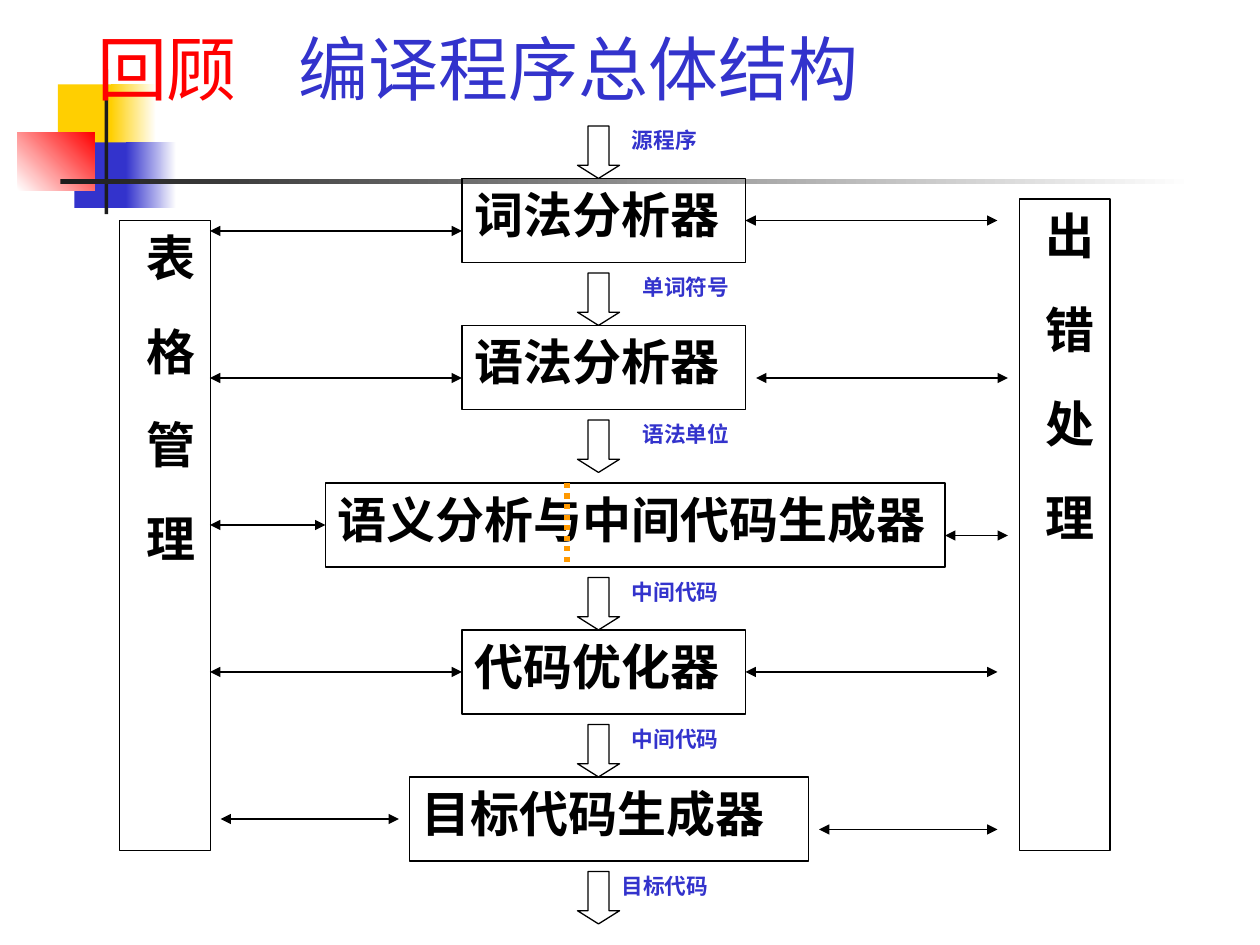
from lxml import etree
from pptx import Presentation
from pptx.dml.color import RGBColor
from pptx.enum.dml import MSO_LINE
from pptx.enum.shapes import MSO_CONNECTOR, MSO_SHAPE
from pptx.enum.text import MSO_ANCHOR, PP_ALIGN
from pptx.oxml.ns import qn
from pptx.util import Inches, Pt

RECT, DOWN = MSO_SHAPE.RECTANGLE, MSO_SHAPE.DOWN_ARROW
LINE, DOTS = MSO_CONNECTOR.STRAIGHT, MSO_LINE.ROUND_DOT
TOP, BOTTOM = MSO_ANCHOR.TOP, MSO_ANCHOR.BOTTOM
LEFT, CENTER = PP_ALIGN.LEFT, PP_ALIGN.CENTER

THEME = {
    "sans": "Noto Sans CJK SC", "serif": "Times New Roman",
    "ink": "000000", "dark": "1C1C1C", "blue": "3333CC", "red": "FF0000",
    "gold": "FFCF01", "white": "FFFFFF", "orange": "FF9900",
    "title": 40, "box": 28, "label": 12.4, "thin": 0.75, "thick": 3,
}

TITLE = [("回顾", "red"), ("\t编译程序总体结构", "blue")]
DECOR = [
    (0.46, 0.67, 0.48, 0.52, ["gold"], 0),
    (0.88, 0.67, 0.36, 0.52, ["gold", "white"], 0),
    (0.59, 1.13, 0.46, 0.52, ["blue"], 0),
    (1, 1.13, 0.4, 0.52, ["blue", "white"], 0),
    (0.14, 1.05, 0.61, 0.46, ["white", "red"], 45),
    (0.83, 0.55, 0.03, 1.15, ["dark"], 0),
    (0.48, 1.42, 9, 0.04, ["dark", "white"], 0),
]
RAILS = [("表格管理", 0.95, 1.75, 5), ("出错处理", 8.09, 1.58, 5.17)]

# Positions below count twelfths of an inch.
UNIT = 1 / 12
FLOWS = [
    ("源程序", 59, 12), ("单词符号", 60, 26), ("语法单位", 60, 40),
    ("中间代码", 59, 55), ("中间代码", 59, 69), ("目标代码", 58, 83),
]
BOXES = [
    ("词法分析器", 44, 17, 27), ("语法分析器", 44, 31, 27),
    ("语义分析与中间代码生成器", 31, 46, 59),
    ("代码优化器", 44, 60, 27), ("目标代码生成器", 39, 74, 38),
]
LINKS = [
    (20, 44, 22), (20, 44, 36), (20, 31, 50), (20, 44, 64), (21, 38, 78),
    (71, 95, 21), (72, 96, 36), (90, 96, 51), (71, 95, 64), (78, 95, 79),
]


def rgb(name):
    return RGBColor.from_string(THEME[name])


def grid(*nums):
    return [n * UNIT for n in nums]


def style(run, size, color, face, bold=True):
    font = run.font
    font.size, font.bold, font.name = Pt(THEME[size]), bold, THEME[face]
    font.color.rgb = rgb(color)
    east = etree.SubElement(run._r.get_or_add_rPr(), qn("a:ea"))
    east.set("typeface", THEME["sans"])


def frame(shape, x=0.1, y=0.05):
    text = shape.text_frame
    text.word_wrap, text.vertical_anchor = True, TOP
    text.margin_left = text.margin_right = Inches(x)
    text.margin_top = text.margin_bottom = Inches(y)
    return text


def put(slide, kind, at):
    shape = slide.shapes.add_shape(kind, *map(Inches, at))
    shape.shadow.inherit = False
    return shape


def outline(slide, kind, at):
    shape = put(slide, kind, at)
    shape.fill.background()
    shape.line.color.rgb = rgb("ink")
    shape.line.width = Pt(THEME["thin"])
    return shape


def write(shape, words, size, color):
    text = frame(shape)
    text.text = words
    para = text.paragraphs[0]
    para.alignment = LEFT
    style(para.runs[0], size, color, "serif")
    return para


def draw_decor(slide):
    for *at, colors, angle in DECOR:
        shape = put(slide, RECT, at)
        shape.line.fill.background()
        if len(colors) == 1:
            shape.fill.solid()
            shape.fill.fore_color.rgb = rgb(colors[0])
            continue
        shape.fill.gradient()
        shape.fill.gradient_angle = angle
        for stop, color in zip(shape.fill.gradient_stops, colors):
            stop.color.rgb = rgb(color)


def draw_title(slide):
    title = slide.shapes.title
    title.element.getparent().append(title.element)
    title.left, title.top = Inches(0.67), Inches(0.17)
    title.width, title.height = Inches(8.5), Inches(0.75)
    text = frame(title)
    text.vertical_anchor = BOTTOM
    para = text.paragraphs[0]
    para.alignment = LEFT
    tabs = etree.SubElement(para._p.get_or_add_pPr(), qn("a:tabLst"))
    etree.SubElement(tabs, qn("a:tab"), pos=str(Inches(1.6)), algn="l")
    for words, color in TITLE:
        run = para.add_run()
        run.text = words
        style(run, "title", color, "sans", False)


def draw_rail(slide, words, left, top, height):
    text = frame(outline(slide, RECT, (left, top, 0.72, height)), 0.05, 0.1)
    text._txBody.bodyPr.set("vert", "eaVert")
    para = text.paragraphs[0]
    para.alignment, para.line_spacing = CENTER, 1.1
    for part, gap in ((words[:-1], 2570), (words[-1], 0)):
        run = para.add_run()
        run.text = part
        style(run, "box", "ink", "sans")
        run._r.get_or_add_rPr().set("spc", str(gap))


def draw_line(slide, ends, color, width):
    line = slide.shapes.add_connector(LINE, *map(Inches, grid(*ends)))
    line.line.color.rgb = rgb(color)
    line.line.width = Pt(THEME[width])
    etree.SubElement(line._element.spPr, qn("a:effectLst"))
    return line.line


def draw_flow(slide, words, left, top):
    arrow = outline(slide, DOWN, grid(55, top, 4, 5))
    arrow.adjustments[0], arrow.adjustments[1] = 0.5, 0.313
    label = slide.shapes.add_textbox(*map(Inches, grid(left, top, 16, 4)))
    write(label, words, "label", "blue").line_spacing = 0.8


def main():
    deck = Presentation()
    deck.slide_width, deck.slide_height = Inches(10), Inches(7.5)
    slide = deck.slides.add_slide(deck.slide_layouts[5])
    draw_decor(slide)
    draw_title(slide)
    for rail in RAILS:
        draw_rail(slide, *rail)
    for words, left, top, width in BOXES:
        box = outline(slide, RECT, grid(left, top, width, 8))
        write(box, words, "box", "ink")
    for start, end, y in LINKS:
        line = draw_line(slide, (start, y, end, y), "ink", "thin")
        for tip in ("a:headEnd", "a:tailEnd"):
            etree.SubElement(line._get_or_add_ln(), qn(tip), type="triangle")
    for flow in FLOWS:
        draw_flow(slide, *flow)
    draw_line(slide, (54, 46, 54, 54), "orange", "thick").dash_style = DOTS
    deck.save("out.pptx")


if __name__ == "__main__":
    main()
